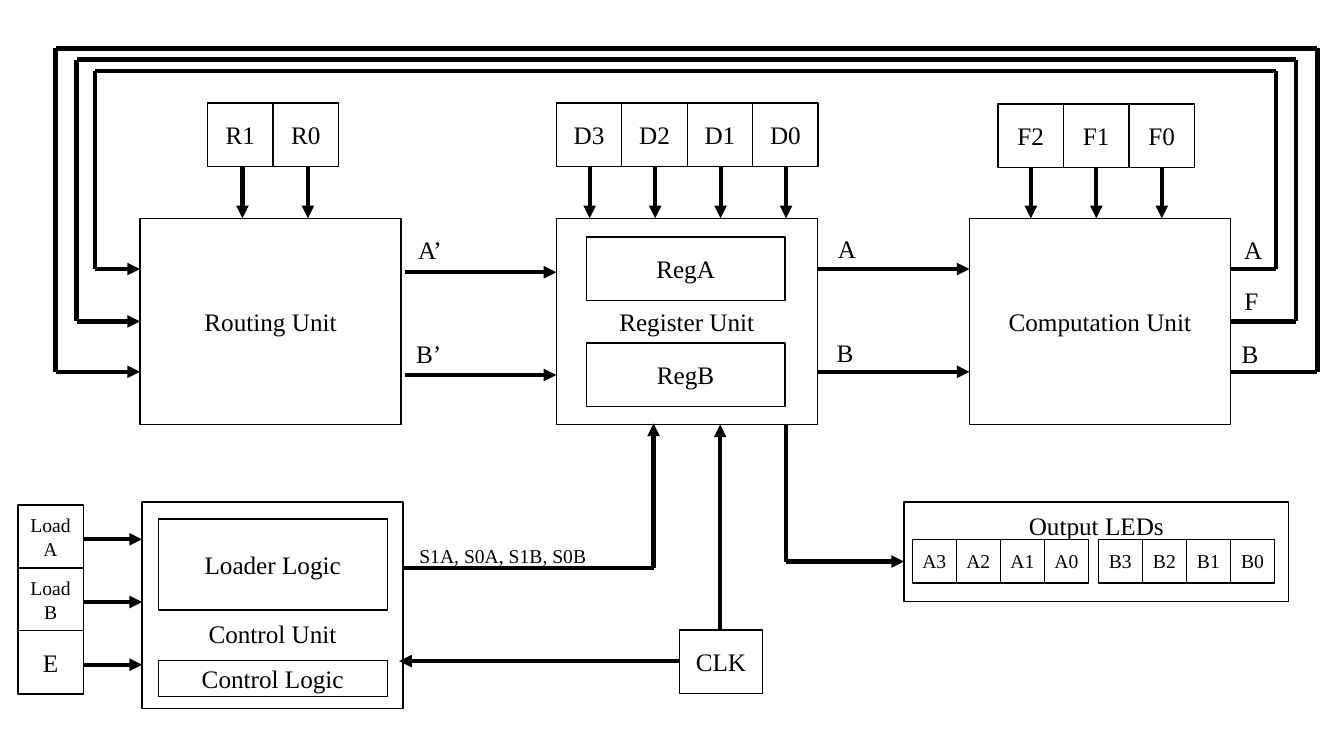
import dataclasses
import itertools
import typing

import pptx
import pptx.dml.color
import pptx.enum.shapes
import pptx.enum.text
import pptx.oxml.ns
import pptx.oxml.xmlchemy
import pptx.slide
import pptx.text.text
import pptx.util
from lxml import etree

Cm = pptx.util.Cm
Point = tuple[float, float]

BLACK = pptx.dml.color.RGBColor(0, 0, 0)
WHITE = pptx.dml.color.RGBColor(255, 255, 255)
SIDE, TALL = 1.65, 1.6
TOP = 5.5
LEFT, RIGHT = 3.53, 31.0

FRAME = {"word_wrap": True, "vertical_anchor": pptx.enum.text.MSO_ANCHOR.MIDDLE}
FONT = {"name": "Times New Roman"}


@dataclasses.dataclass
class Box:
    text: str
    x: float
    y: float
    wide: float = SIDE
    high: float = TALL
    size: int = 18
    frame: dict[str, typing.Any] = dataclasses.field(default_factory=dict)


@dataclasses.dataclass
class Row:
    names: list[str]
    x: float
    y: float
    lead: float


@dataclasses.dataclass
class Loop:
    left: float
    top: float
    right: float
    port: float


def style(thing: typing.Any, values: dict[str, typing.Any]) -> None:
    for key, value in values.items():
        setattr(thing, key, value)


def write(frame: pptx.text.text.TextFrame, box: Box) -> None:
    frame.text = box.text
    style(frame, FRAME | box.frame)
    line = frame.paragraphs[0]
    line.alignment = pptx.enum.text.PP_ALIGN.CENTER
    for run in line.runs:
        style(run.font, FONT | {"size": pptx.util.Pt(box.size)})
        run.font.color.rgb = BLACK


def place(box: Box) -> tuple[int, int, int, int]:
    return Cm(box.x), Cm(box.y), Cm(box.wide), Cm(box.high)


def draw_box(slide: pptx.slide.Slide, box: Box) -> None:
    shape = slide.shapes.add_shape(pptx.enum.shapes.MSO_SHAPE.RECTANGLE, *place(box))
    shape.shadow.inherit = False
    shape.fill.solid()
    shape.fill.fore_color.rgb = WHITE
    shape.line.color.rgb = BLACK
    shape.line.width = pptx.util.Pt(1)
    write(shape.text_frame, box)


def draw_label(slide: pptx.slide.Slide, box: Box) -> None:
    write(slide.shapes.add_textbox(*place(box)).text_frame, box)


def draw_wire(slide: pptx.slide.Slide, points: list[Point]) -> None:
    qn = pptx.oxml.ns.qn
    for start, end in itertools.pairwise(points):
        wire = slide.shapes.add_connector(
            pptx.enum.shapes.MSO_CONNECTOR.STRAIGHT, *map(Cm, start + end))
        wire.line.color.rgb = BLACK
        wire.line.width = pptx.util.Pt(3)
        props = wire._element.spPr
        if end == points[-1]:
            etree.SubElement(props.find(qn("a:ln")), qn("a:tailEnd"), type="triangle")
        etree.SubElement(props, qn("a:effectLst"))


UNITS = [
    Box("Output LEDs", 22.78, 12.65, 9.7, 2.51, frame={
        "vertical_anchor": pptx.enum.text.MSO_ANCHOR.TOP, "margin_top": Cm(0.2)}),
    Box("Register Unit", 14.02, TOP, 6.58, 5.2),
    Box("RegA", 14.78, 5.97, 5, TALL),
    Box("RegB", 14.78, 8.64, 5, TALL),
    Box("Control Unit", 3.58, 12.65, 6.58, 5.2, frame={"margin_top": Cm(1.53)}),
    Box("Loader Logic", 3.99, 13.08, 5.77, 2.29),
    Box("Control Logic", 3.99, 16.64, 5.77, 0.92),
    Box("Routing Unit", LEFT, TOP, 6.58, 5.2),
    Box("Computation Unit", 24.43, TOP, 6.58, 5.2),
    Box("CLK", 17.12, 15.88, 2.1, TALL),
]
ROWS = [
    Row(["R1", "R0"], 5.23, 2.6, 0.88),
    Row(["D3", "D2", "D1", "D0"], 14.02, 2.6, 0.84),
    Row(["F2", "F1", "F0"], 25.15, 2.62, 0.83),
]
LOADS = [("Load\vA", 14), ("Load\vB", 14), ("E", 18)]
BANKS = {"A": 22.99, "B": 27.68}
LOOPS = [
    Loop(2.39, 1.78, 32.16, 6.78),
    Loop(1.93, 1.5, 32.66, 8.1),
    Loop(1.4, 1.22, 33.2, 9.37),
]
WIRES = [
    [(10.21, 6.86), (14.02, 6.86)],
    [(10.21, 9.45), (14.02, 9.45)],
    [(20.62, 6.78), (24.43, 6.78)],
    [(20.62, 9.37), (24.43, 9.37)],
    [(19.81, 10.7), (19.81, 14.15), (22.78, 14.15)],
    [(10.13, 14.31), (16.47, 14.31), (16.47, 10.67)],
    [(17.12, 16.66), (10.06, 16.66)],
    [(18.15, 15.88), (18.15, 10.7)],
]
LABELS = [
    Box("A", 20.52, 5.46),
    Box("B", 20.47, 8.08),
    Box("A", 30.76, 5.49),
    Box("F", 30.71, 6.76),
    Box("B", 30.68, 8.1),
    Box("A’", 10.01, 5.49),
    Box("B’", 9.98, 8.1),
    Box("S1A, S0A, S1B, S0B", 9.65, 12.95, 6.05, 2.08, 14),
]

deck = pptx.Presentation()
style(deck, {"slide_width": Cm(33.87), "slide_height": Cm(19.05)})
slide = deck.slides.add_slide(deck.slide_layouts[6])

for unit in UNITS:
    draw_box(slide, unit)

for row in ROWS:
    for i, name in enumerate(row.names):
        x = row.x + i * SIDE
        draw_box(slide, Box(name, x, row.y))
        draw_wire(slide, [(x + row.lead, row.y + TALL), (x + row.lead, TOP)])

for i, (name, size) in enumerate(LOADS):
    y = 12.73 + i * 1.58
    draw_box(slide, Box(name, 0.45, y, size=size))
    draw_wire(slide, [(2.1, y + 0.86), (3.58, y + 0.86)])

for bank, x in BANKS.items():
    for i in range(4):
        draw_box(slide, Box(f"{bank}{3 - i}", x + i * 1.11, 13.59, 1.11, 1.1, 14))

for loop in LOOPS:
    draw_wire(slide, [
        (RIGHT, loop.port), (loop.right, loop.port), (loop.right, loop.top),
        (loop.left, loop.top), (loop.left, loop.port), (LEFT, loop.port)])

for wire in WIRES:
    draw_wire(slide, wire)

for label in LABELS:
    draw_label(slide, label)

deck.save("out.pptx")
